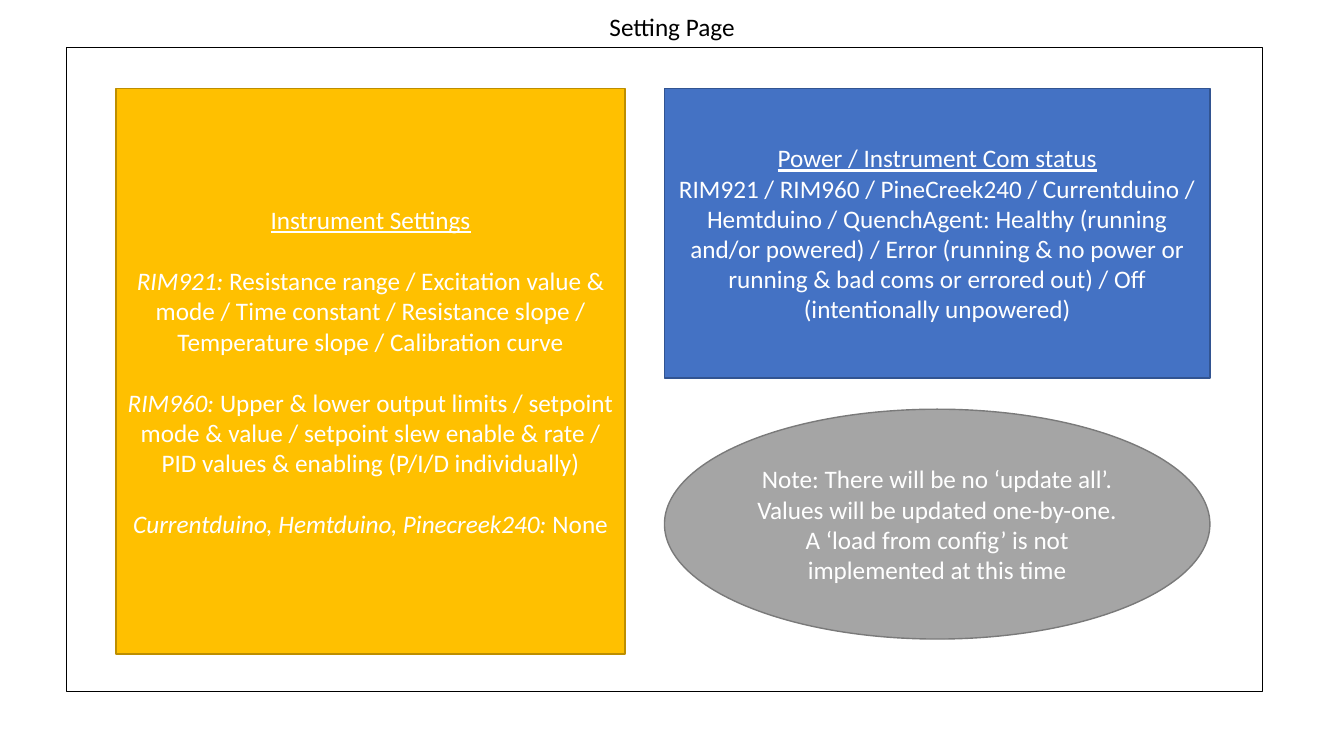
"""Build the Setting Page layout slide."""
from pptx import Presentation
from pptx import util as u
from pptx.dml.color import RGBColor
from pptx.enum import shapes, text

COLORS = {
    "black": "000000", "white": "FFFFFF",
    "gold": "FFC000", "gold_edge": "BD8E00",
    "blue": "4472C4", "blue_edge": "325491",
    "gray": "A5A5A5", "gray_edge": "7A7A7A",
}
FONT = {"name": "Calibri", "size": u.Pt(18)}
HEADING = {"underline": True}
ITALIC = {"italic": True}
PLAIN = {}
LINE_GAP = 22

TITLE = [[("Setting Page", PLAIN)]]
SETTINGS = [
    [("Instrument Settings", HEADING)],
    [("RIM921: ", ITALIC),
     ("Resistance range / Excitation value & mode / Time constant / "
      "Resistance slope / Temperature slope / Calibration curve", PLAIN)],
    [("RIM960:", ITALIC),
     (" Upper & lower output limits / setpoint mode & value / setpoint slew "
      "enable & rate / PID values & enabling (P/I/D individually)", PLAIN)],
    [("Currentduino, Hemtduino, Pinecreek240:", ITALIC), (" None", PLAIN)],
]
STATUS = [
    [("Power / Instrument Com status", HEADING)],
    [("RIM921 / RIM960 / PineCreek240 / Currentduino / Hemtduino / "
      "QuenchAgent: Healthy (running and/or powered) / Error (running & no "
      "power or running & bad coms or errored out) / Off (intentionally "
      "unpowered)", PLAIN)],
]
NOTE = [
    [("Note: There will be no ‘update all’. "
      "Values will be updated one-by-one.", PLAIN)],
    [("A ‘load from config’ is not implemented at this time", PLAIN)],
]

RECTANGLE = shapes.MSO_SHAPE.RECTANGLE
OVAL = shapes.MSO_SHAPE.OVAL
TOP, RIGHT_LEFT, RIGHT_WIDTH = 0.88, 6.59, 5.41
PANELS = [
    (RECTANGLE, (0.66, 0.47, 11.86, 6.39), None, "black", 0.75, [], 0),
    (RECTANGLE, (1.15, TOP, 5.05, 5.61), "gold", "gold_edge", 1,
     SETTINGS, LINE_GAP),
    (RECTANGLE, (RIGHT_LEFT, TOP, RIGHT_WIDTH, 2.87), "blue", "blue_edge", 1,
     STATUS, 0),
    (OVAL, (RIGHT_LEFT, 4.06, RIGHT_WIDTH, 2.28), "gray", "gray_edge", 1,
     NOTE, 0),
]


def rgb(name):
    return RGBColor.from_string(COLORS[name])


def write(frame, paragraphs, color, gap=0):
    frame.word_wrap = True
    for index, runs in enumerate(paragraphs):
        paragraph = frame.add_paragraph() if index else frame.paragraphs[0]
        paragraph.alignment = text.PP_ALIGN.CENTER
        if index and gap:
            paragraph.space_before = u.Pt(gap)
        for words, style in runs:
            run = paragraph.add_run()
            run.text = words
            run.font.color.rgb = rgb(color)
            for key, value in {**FONT, **style}.items():
                setattr(run.font, key, value)


def add_panel(slide, kind, box, fill, edge, weight, paragraphs, gap):
    shape = slide.shapes.add_shape(kind, *map(u.Inches, box))
    shape.shadow.inherit = False
    if fill:
        shape.fill.solid()
        shape.fill.fore_color.rgb = rgb(fill)
    else:
        shape.fill.background()
    shape.line.color.rgb = rgb(edge)
    shape.line.width = u.Pt(weight)
    if paragraphs:
        shape.text_frame.vertical_anchor = text.MSO_ANCHOR.MIDDLE
        write(shape.text_frame, paragraphs, "white", gap)


def main():
    presentation = Presentation()
    presentation.slide_width = u.Inches(13.33)
    presentation.slide_height = u.Inches(7.5)
    slide = presentation.slides.add_slide(presentation.slide_layouts[6])
    title = slide.shapes.add_textbox(*map(u.Inches, (3.97, 0.06, 5.39, 0.4)))
    write(title.text_frame, TITLE, "black")
    for panel in PANELS:
        add_panel(slide, *panel)
    presentation.save("out.pptx")


if __name__ == "__main__":
    main()
